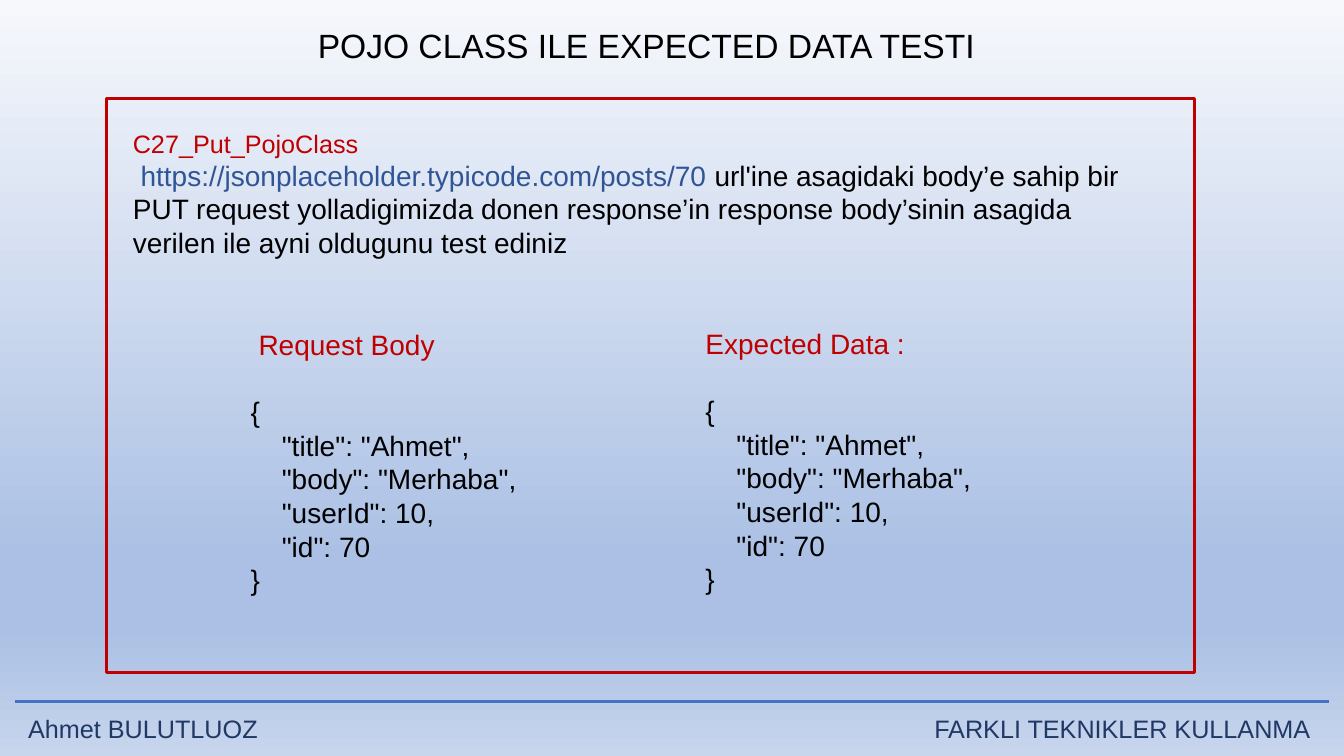
from lxml.etree import SubElement
from pptx import Presentation
from pptx.dml.color import RGBColor
from pptx.enum.shapes import MSO_CONNECTOR, MSO_SHAPE
from pptx.enum.text import MSO_ANCHOR, MSO_AUTO_SIZE, PP_ALIGN
from pptx.oxml.ns import qn
from pptx.util import Pt

BLACK, RED, BLUE, LINK, NAVY = "000000", "C00000", "4472C4", "2F5597", "203864"
SPACE_WIDTH = 5.56
BACKGROUND = [(0, "F6F8FC"), (74, "ABC0E4"), (83, "ABC0E4"), (100, "C7D5ED")]
JSON_LINES = [
    "{",
    '    "title": "Ahmet",',
    '    "body": "Merhaba",',
    '    "userId": 10,',
    '    "id": 70',
    "}",
]


def color(hex_string):
    return RGBColor.from_string(hex_string)


class SlideBuilder:
    """Holds the text style and the page being filled; lengths are in points."""

    font_name = "Arial"
    line_width = 2.25

    def __init__(self, page):
        self.page = page

    def background(self, stops):
        fill = self.page.background.fill
        fill.gradient()
        fill.gradient_angle = 270
        stop_list = next(self.page.element.iter(qn("a:gsLst")))
        stop_list.clear()
        for percent, hex_string in stops:
            stop = SubElement(stop_list, qn("a:gs"), pos=str(percent * 1000))
            SubElement(stop, qn("a:srgbClr"), val=hex_string)

    def add_text(self, frame, spans, size=20, align=PP_ALIGN.LEFT, before=0,
                 indent=0, right_tab=None, first=False):
        """Add one paragraph made of (text, colour) spans."""
        para = frame.paragraphs[0] if first else frame.add_paragraph()
        properties = para._p.get_or_add_pPr()
        if indent:
            properties.set("indent", str(Pt(indent)))
        if right_tab:
            tabs = SubElement(properties, qn("a:tabLst"))
            SubElement(tabs, qn("a:tab"), pos=str(Pt(right_tab)), algn="r")
        para.alignment = align
        if before:
            para.space_before = Pt(before)
        for text, hex_string in spans:
            span = para.add_run()
            span.text = text
            span.font.name = self.font_name
            span.font.size = Pt(size)
            span.font.color.rgb = color(hex_string)

    def place(self, box, left, top, width, height):
        box.left, box.top = Pt(left), Pt(top)
        box.width, box.height = Pt(width), Pt(height)
        frame = box.text_frame
        frame.word_wrap = True
        frame.auto_size = MSO_AUTO_SIZE.NONE
        frame.vertical_anchor = MSO_ANCHOR.TOP
        return frame

    def title(self, text, *bounds):
        frame = self.place(self.page.shapes.title, *bounds)
        self.add_text(frame, [(text, BLACK)], size=24, align=PP_ALIGN.CENTER, first=True)

    def text_box(self, *bounds):
        return self.place(self.page.shapes.add_textbox(0, 0, 0, 0), *bounds)

    def frame_box(self, left, top, width, height):
        box = self.page.shapes.add_shape(
            MSO_SHAPE.RECTANGLE, Pt(left), Pt(top), Pt(width), Pt(height))
        box.shadow.inherit = False
        box.fill.background()
        box.line.color.rgb = color(RED)
        box.line.width = Pt(self.line_width)

    def rule(self, left, right, top):
        line = self.page.shapes.add_connector(
            MSO_CONNECTOR.STRAIGHT, Pt(left), Pt(top), Pt(right), Pt(top))
        line.line.color.rgb = color(BLUE)
        line.line.width = Pt(self.line_width)
        SubElement(line._element.spPr, qn("a:effectLst"))

    def json_block(self, heading, left, top, width, indent=0):
        frame = self.text_box(left, top, width, 201)
        self.add_text(frame, [(heading, RED)], indent=indent, first=True)
        for number, code in enumerate(JSON_LINES):
            self.add_text(frame, [(code, BLACK)], before=0 if number else 24)


def main():
    deck = Presentation()
    deck.slide_width, deck.slide_height = Pt(960), Pt(540)
    slide = SlideBuilder(deck.slides.add_slide(deck.slide_layouts[5]))
    slide.background(BACKGROUND)
    slide.rule(10.8, 949, 501)

    task = slide.text_box(87.8, 87.8, 747.4, 101.5)
    slide.add_text(task, [("C27_Put_PojoClass", RED)], size=18, first=True)
    slide.add_text(task, [
        ("https://jsonplaceholder.typicode.com/posts/70 ", LINK),
        ("url'ine asagidaki body’e sahip bir PUT request yolladigimizda donen "
         "response’in response body’sinin asagida verilen ile ayni oldugunu "
         "test ediniz", BLACK),
    ], indent=SPACE_WIDTH)

    slide.frame_box(76.3, 70.6, 776.9, 409.7)
    slide.title("POJO CLASS ILE EXPECTED DATA TESTI", 200, 14.4, 523.4, 36)
    slide.json_block("Expected Data :", 496.8, 229.7, 239.8)
    slide.json_block("Request Body", 172, 230.4, 267, indent=SPACE_WIDTH)

    footer = slide.text_box(13, 506.2, 938, 28.8)
    slide.add_text(footer, [("Ahmet BULUTLUOZ\tFARKLI TEKNIKLER KULLANMA", NAVY)],
                   size=18, right_tab=916, first=True)
    deck.save("out.pptx")


if __name__ == "__main__":
    main()
